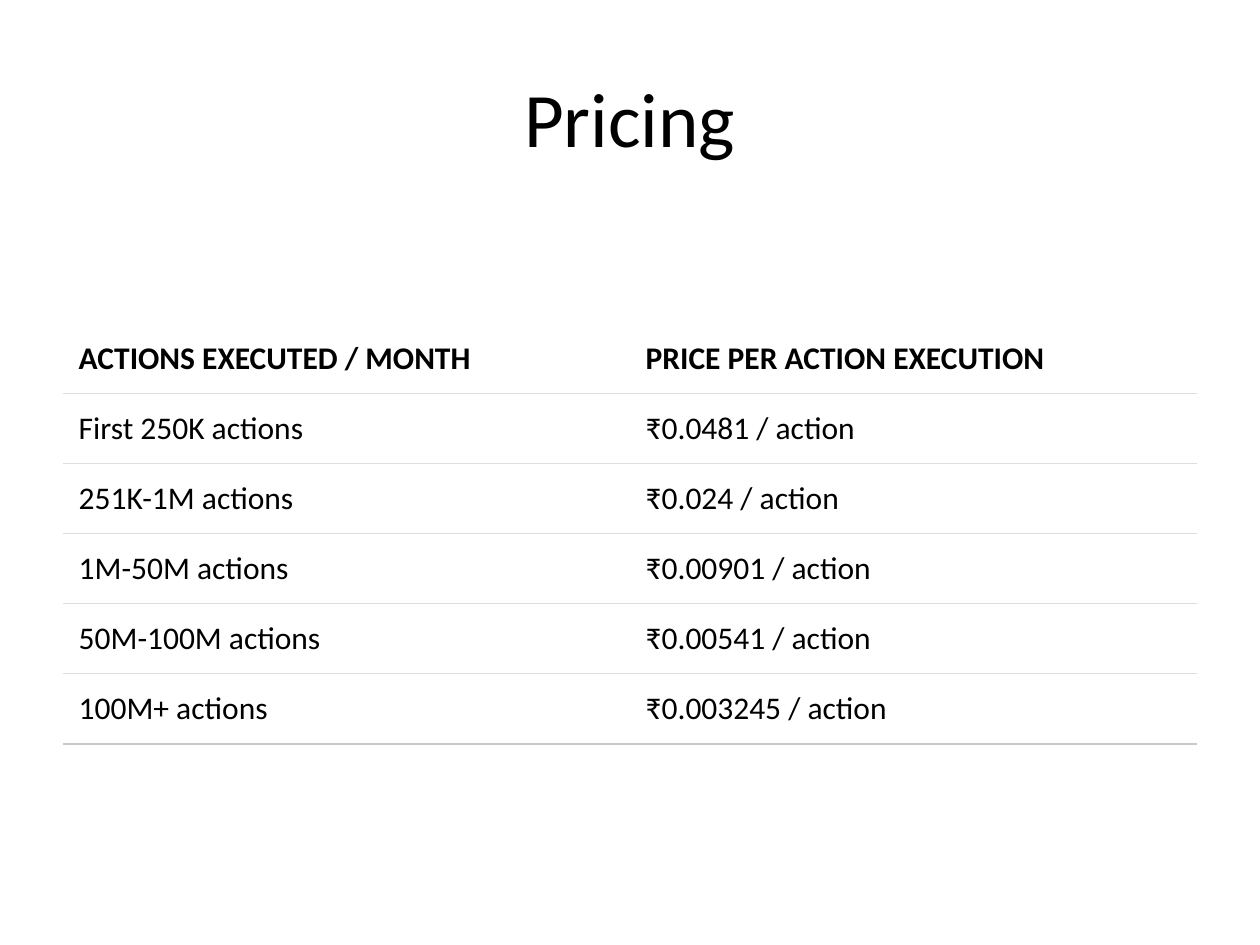
from lxml import etree
from pptx import Presentation
from pptx.dml.color import RGBColor
from pptx.enum.text import MSO_ANCHOR, PP_ALIGN
from pptx.oxml.ns import qn
from pptx.util import Pt

CENTER = PP_ALIGN.CENTER
MIDDLE = MSO_ANCHOR.MIDDLE
TOP = MSO_ANCHOR.TOP

BLACK = RGBColor(0x00, 0x00, 0x00)
WHITE = RGBColor(0xFF, 0xFF, 0xFF)
RULE_GRAY = RGBColor(0xDE, 0xDE, 0xDE)
END_GRAY = RGBColor(0xC9, 0xC9, 0xC9)

FONT = "Calibri"
CELL_MARGIN = Pt(9)
THIN_RULE = (RULE_GRAY, Pt(0.75))
END_RULE = (END_GRAY, Pt(1.5))

PRICES = [
    ("ACTIONS EXECUTED / MONTH", "PRICE PER ACTION EXECUTION"),
    ("First 250K actions", "₹0.0481 / action"),
    ("251K-1M actions", "₹0.024 / action"),
    ("1M-50M actions", "₹0.00901 / action"),
    ("50M-100M actions", "₹0.00541 / action"),
    ("100M+ actions", "₹0.003245 / action"),
]


def write_text(frame, text, size, bold=False):
    """Write one black paragraph into a text frame and return it."""
    para = frame.paragraphs[0]
    para.text = text
    para.font.name = FONT
    para.font.size = Pt(size)
    para.font.bold = bold
    para.font.color.rgb = BLACK
    return para


def set_borders(cell, top, bottom):
    """Give a cell its top and bottom rules and no side rules."""
    properties = cell._tc.get_or_add_tcPr()
    sides = [("a:lnL", None), ("a:lnR", None), ("a:lnT", top), ("a:lnB", bottom)]
    for position, (tag, rule) in enumerate(sides):
        line = etree.Element(qn(tag))
        properties.insert(position, line)
        if rule is None:
            etree.SubElement(line, qn("a:noFill"))
        else:
            color, width = rule
            line.set("w", str(int(width)))
            fill = etree.SubElement(line, qn("a:solidFill"))
            etree.SubElement(fill, qn("a:srgbClr"), val=str(color))


def add_title(page, left, top, width, height):
    """Place the centred page title in the given box."""
    box = page.shapes.add_textbox(left, top, width, height)
    frame = box.text_frame
    frame.word_wrap = True
    frame.vertical_anchor = MIDDLE
    write_text(frame, "Pricing", 44).alignment = CENTER


def add_price_table(page, left, top, width, height):
    """Place the price table with its horizontal rules in the given box."""
    last = len(PRICES) - 1
    table = page.shapes.add_table(
        len(PRICES), len(PRICES[0]), left, top, width, height
    ).table
    table.first_row = False
    table.horz_banding = False
    for row, values in enumerate(PRICES):
        for column, value in enumerate(values):
            cell = table.cell(row, column)
            cell.margin_left = cell.margin_right = CELL_MARGIN
            cell.margin_top = cell.margin_bottom = CELL_MARGIN
            cell.vertical_anchor = TOP
            cell.fill.solid()
            cell.fill.fore_color.rgb = WHITE
            write_text(cell.text_frame, value, 18, bold=row == 0)
            set_borders(
                cell,
                top=THIN_RULE if row > 0 else None,
                bottom=END_RULE if row == last else THIN_RULE,
            )


def main():
    """Build the pricing slide and save it."""
    deck = Presentation()
    deck.slide_width, deck.slide_height = Pt(720), Pt(540)
    page = deck.slides.add_slide(deck.slide_layouts[6])
    add_title(page, Pt(36), Pt(21.6), Pt(648), Pt(90))
    add_price_table(page, Pt(36), Pt(185), Pt(648), Pt(240))
    deck.save("out.pptx")


if __name__ == "__main__":
    main()
